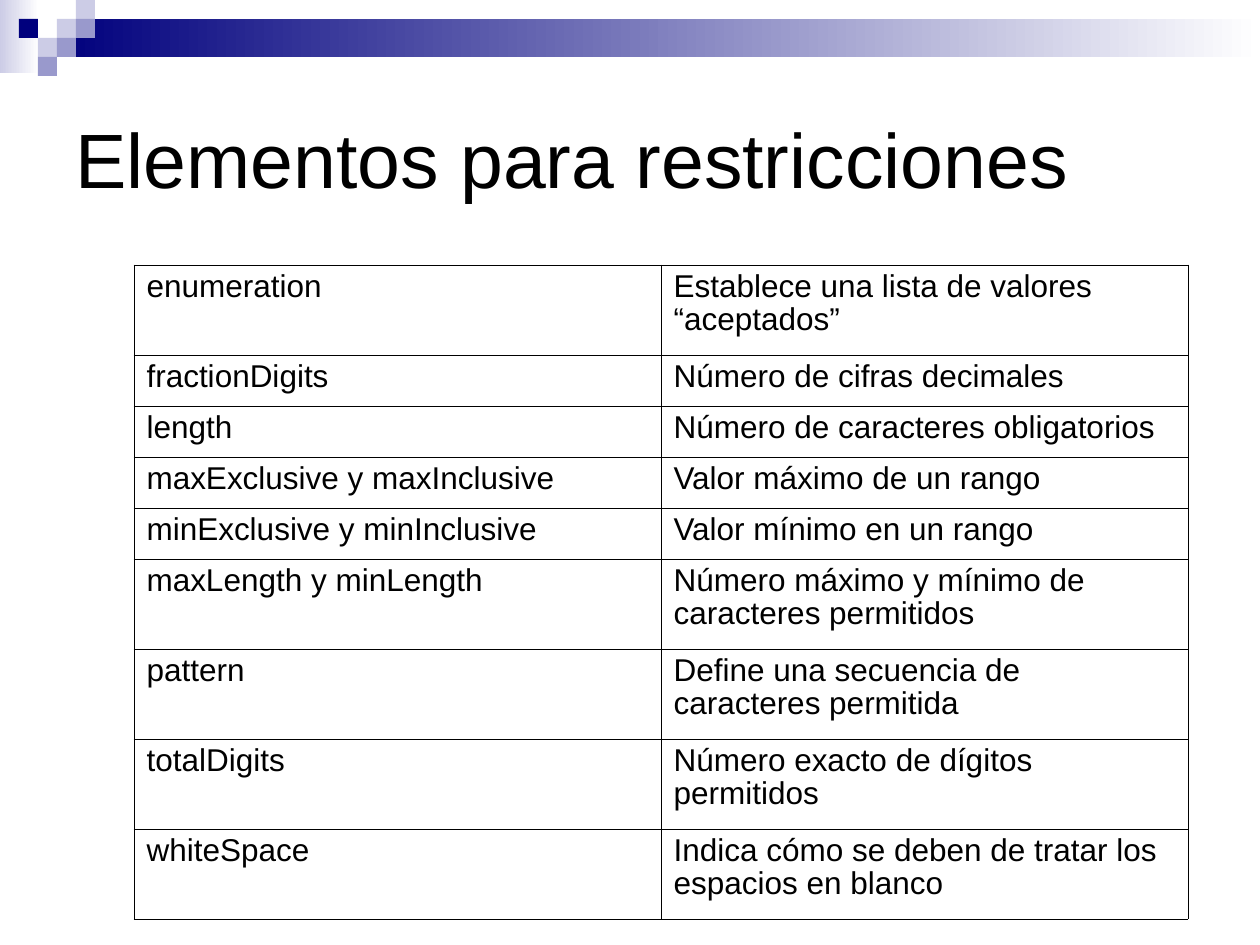
from lxml.etree import SubElement
from pptx import Presentation
from pptx.dml.color import RGBColor
from pptx.enum.shapes import MSO_SHAPE
from pptx.enum.text import MSO_ANCHOR
from pptx.oxml.ns import qn
from pptx.util import Pt

EMU_PER_PX = 914400 / 126
BLACK = RGBColor(0x00, 0x00, 0x00)
WHITE = RGBColor(0xFF, 0xFF, 0xFF)
NAVY = RGBColor(0x00, 0x00, 0x7D)
LAVENDER = RGBColor(0xCC, 0xCC, 0xE6)
PERIWINKLE = RGBColor(0x99, 0x99, 0xCC)

TITLE = "Elementos para restricciones"
RESTRICTIONS = [
    ("enumeration", "Establece una lista de valores “aceptados”", 90),
    ("fractionDigits", "Número de cifras decimales", 51),
    ("length", "Número de caracteres obligatorios", 51),
    ("maxExclusive y maxInclusive", "Valor máximo de un rango", 51),
    ("minExclusive y minInclusive", "Valor mínimo en un rango", 51),
    ("maxLength y minLength", "Número máximo y mínimo de caracteres permitidos", 90),
    ("pattern", "Define una secuencia de caracteres permitida", 90),
    ("totalDigits", "Número exacto de dígitos permitidos", 90),
    ("whiteSpace", "Indica cómo se deben de tratar los espacios en blanco", 90),
]
GRADIENT_BANDS = [
    ((0, 0, 39, 73), LAVENDER),
    ((57, 19, 1203, 38), NAVY),
]
SQUARE = 19
MOSAIC = [
    (3, 1, LAVENDER),
    (4, 0, LAVENDER),
    (4, 1, PERIWINKLE),
    (2, 2, LAVENDER),
    (1, 1, NAVY),
    (3, 2, PERIWINKLE),
    (2, 3, PERIWINKLE),
]
COLUMN_WIDTH = 527
OUTER_BORDER, INNER_BORDER = Pt(0.5), Pt(0.23)


def px(length):
    return round(length * EMU_PER_PX)


def add_block(slide, box):
    block = slide.shapes.add_shape(MSO_SHAPE.RECTANGLE, *map(px, box))
    block.shadow.inherit = False
    block.line.fill.background()
    return block


def style_text(paragraph, size):
    paragraph.font.name = "Arial"
    paragraph.font.size = Pt(size)
    paragraph.font.color.rgb = BLACK


def add_border(cell, side, width):
    border = SubElement(cell._tc.get_or_add_tcPr(), qn(f"a:ln{side}"), w=str(width))
    fill = SubElement(border, qn("a:solidFill"))
    SubElement(fill, qn("a:srgbClr"), val=str(BLACK))


def add_decoration(slide):
    for box, color in GRADIENT_BANDS:
        fill = add_block(slide, box).fill
        fill.gradient()
        fill.gradient_angle = 180
        for stop, stop_color in zip(fill.gradient_stops, (WHITE, color)):
            stop.color.rgb = stop_color
    for column, row, color in MOSAIC:
        box = (column * SQUARE, row * SQUARE, SQUARE, SQUARE)
        fill = add_block(slide, box).fill
        fill.solid()
        fill.fore_color.rgb = color


def add_title(slide):
    frame = slide.shapes.add_textbox(*map(px, (63, 63, 1134, 189))).text_frame
    frame.word_wrap = True
    frame.vertical_anchor = MSO_ANCHOR.MIDDLE
    frame.text = TITLE
    style_text(frame.paragraphs[0], 44)


def add_restrictions(slide):
    last = len(RESTRICTIONS) - 1
    total_height = sum(height for _, _, height in RESTRICTIONS)
    box = (134, 265, 2 * COLUMN_WIDTH, total_height)
    table = slide.shapes.add_table(last + 1, 2, *map(px, box)).table
    table.first_row = False
    table.horz_banding = False
    for column in table.columns:
        column.width = px(COLUMN_WIDTH)
    for r, (element, meaning, height) in enumerate(RESTRICTIONS):
        table.rows[r].height = px(height)
        for c, wording in enumerate((element, meaning)):
            cell = table.cell(r, c)
            cell.text = wording
            paragraph = cell.text_frame.paragraphs[0]
            paragraph.line_spacing = 0.93
            paragraph.space_before = Pt(4.5)
            style_text(paragraph, 18)
            on_edge = {"L": c == 0, "R": c == 1, "T": r == 0, "B": r == last}
            for side, outer in on_edge.items():
                add_border(cell, side, OUTER_BORDER if outer else INNER_BORDER)
            cell.fill.background()


def main():
    deck = Presentation()
    deck.slide_width, deck.slide_height = px(1260), px(945)
    slide = deck.slides.add_slide(deck.slide_layouts[6])
    add_decoration(slide)
    add_title(slide)
    add_restrictions(slide)
    deck.save("out.pptx")


if __name__ == "__main__":
    main()
